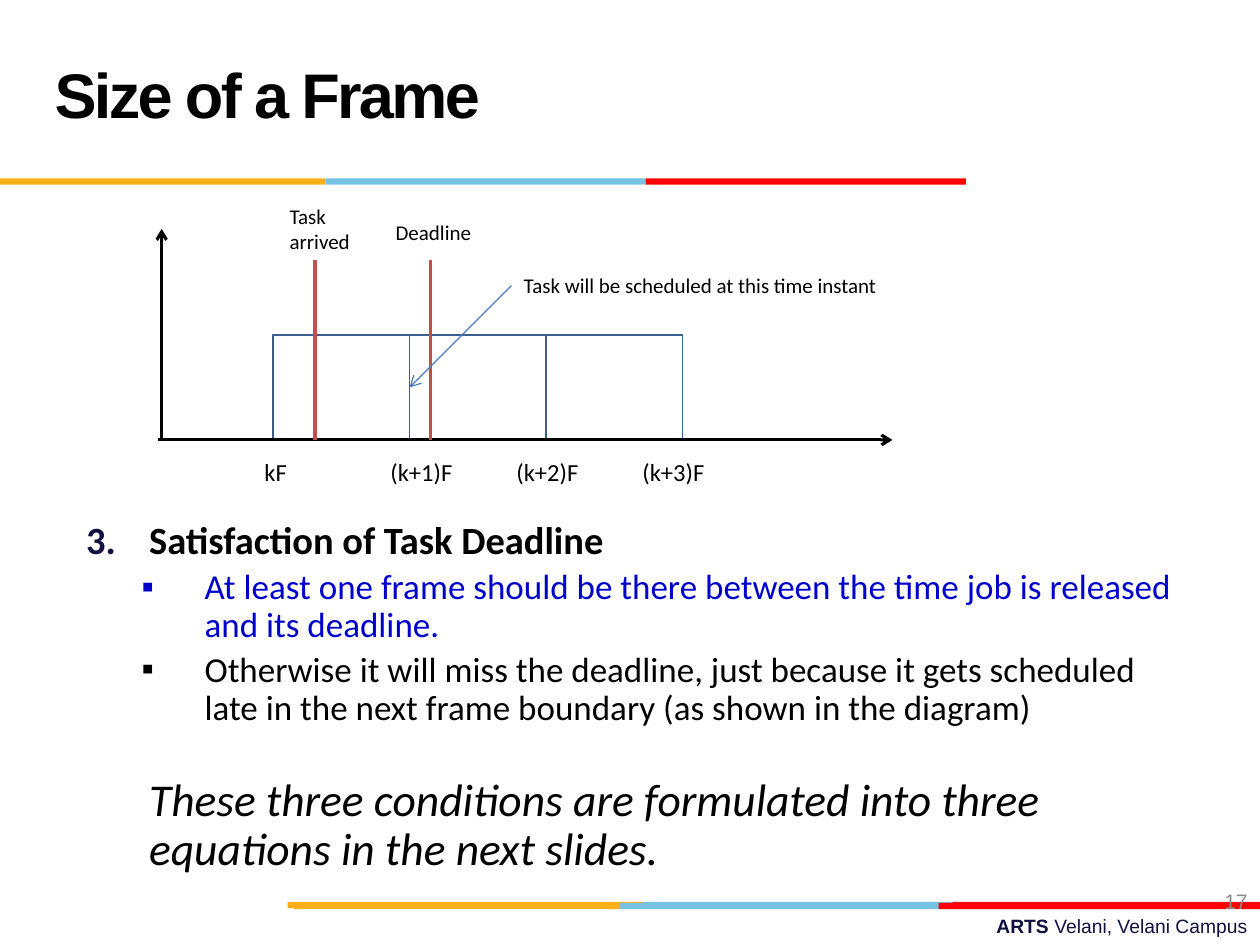
from dataclasses import dataclass
from lxml.etree import SubElement
from pptx import Presentation
from pptx.dml.color import RGBColor
from pptx.enum.shapes import MSO_CONNECTOR, MSO_SHAPE
from pptx.enum.text import MSO_ANCHOR, MSO_AUTO_SIZE, PP_ALIGN
from pptx.oxml.ns import qn
from pptx.util import Inches, Pt


@dataclass(frozen=True)
class Theme:
    sans: str = "Arial"
    text: str = "Calibri"
    black: str = "000000"
    navy: str = "101141"
    blue: str = "0000CC"
    gray: str = "8C8C8C"
    gold: str = "FCB017"
    sky: str = "76C2E5"
    red: str = "FF0000"
    dark: str = "E31C24"
    edge: str = "3A5F8C"
    mark: str = "C0504D"
    hint: str = "4B7EBC"
    title: int = 36
    close: int = 26
    head: int = 22
    item: int = 20
    tick: int = 14
    note: int = 12
    foot: int = 11


def cell(n):
    """Grid units: 12 columns or rows to the inch."""
    return Inches(n / 12)


def tint(code):
    return RGBColor.from_string(code)


def write(para, text, size, font, color, bold=False, italic=False,
          align=PP_ALIGN.LEFT, space=None):
    run = para.add_run()
    run.text = text
    face = run.font
    face.size, face.name = Pt(size), font
    face.bold, face.italic = bold, italic
    face.color.rgb = tint(color)
    para.alignment = align
    if space is not None:
        run._r.get_or_add_rPr().set("spc", str(int(space * 100)))


class Page:
    def __init__(self, deck, theme):
        self.theme = theme
        self.slide = deck.slides.add_slide(deck.slide_layouts[1])
        self.shapes = self.slide.shapes

    def place(self, shape, x, y, w, h):
        shape.left, shape.top = cell(x), cell(y)
        shape.width, shape.height = cell(w), cell(h)

    def title(self, text, *box):
        t, shape = self.theme, self.shapes.title
        self.place(shape, *box)
        frame = shape.text_frame
        frame.vertical_anchor = MSO_ANCHOR.MIDDLE
        frame.auto_size = MSO_AUTO_SIZE.NONE
        para = frame.paragraphs[0]
        para.line_spacing = Pt(t.title)
        write(para, text, t.title, t.sans, t.black, bold=True, space=-1.5)

    def body(self, items, *box):
        shape = self.slide.placeholders[1]
        self.place(shape, *box)
        frame = shape.text_frame
        frame.auto_size = MSO_AUTO_SIZE.NONE
        frame.vertical_anchor = MSO_ANCHOR.TOP
        for i, (kind, text, look, gap) in enumerate(items):
            para = frame.add_paragraph() if i else frame.paragraphs[0]
            para.line_spacing, para.space_before = 0.9, Pt(gap)
            write(para, text, font=self.theme.text, **look)
            self.bullet(para, kind)

    def bullet(self, para, kind):
        para.level = int(kind == "dot")
        prop = para._p.get_or_add_pPr()
        prop.set("marL", str(Inches(0.94 if kind == "dot" else 0.5)))
        prop.set("indent", str(0 if kind == "none" else Inches(-0.5)))
        if kind == "none":
            SubElement(prop, qn("a:buNone"))
        elif kind == "dot":
            SubElement(prop, qn("a:buFont"), typeface=self.theme.sans)
            SubElement(prop, qn("a:buChar"), char="▪")
        else:
            hue = SubElement(prop, qn("a:buClr"))
            SubElement(hue, qn("a:srgbClr"), val=self.theme.navy)
            SubElement(prop, qn("a:buFont"), typeface="+mj-lt")
            SubElement(prop, qn("a:buAutoNum"), type="arabicPeriod", startAt="3")

    def label(self, parts, x, y, w, h, align=PP_ALIGN.LEFT, wrap=False,
              anchor=MSO_ANCHOR.TOP, **look):
        """Each entry of parts is a line: a list of (text, bold) runs."""
        shape = self.shapes.add_textbox(cell(x), cell(y), cell(w), cell(h))
        frame = shape.text_frame
        frame.word_wrap, frame.vertical_anchor = wrap, anchor
        for i, line in enumerate(parts):
            para = frame.add_paragraph() if i else frame.paragraphs[0]
            for text, bold in line:
                write(para, text, bold=bold, align=align, **look)
        return shape

    def rect(self, x, y, w, h, fill=None, line=None):
        shape = self.shapes.add_shape(
            MSO_SHAPE.RECTANGLE, cell(x), cell(y), cell(w), cell(h))
        shape.shadow.inherit = False
        if fill:
            shape.fill.solid()
            shape.fill.fore_color.rgb = tint(fill)
        else:
            shape.fill.background()
        if line:
            shape.line.color.rgb, shape.line.width = tint(line), Pt(1)
        else:
            shape.line.fill.background()
        return shape

    def band(self, y, parts):
        for x, end, fill in parts:
            self.rect(x, y, end - x, 0.6, fill=fill)

    def line(self, x, y, to, down, color, width=1.75, arrow=False):
        link = self.shapes.add_connector(
            MSO_CONNECTOR.STRAIGHT, cell(x), cell(y), cell(to), cell(down))
        link.line.color.rgb, link.line.width = tint(color), Pt(width)
        if arrow:
            SubElement(link.line._get_or_add_ln(), qn("a:tailEnd"), type="arrow")
        SubElement(link._element.spPr, qn("a:effectLst"))
        return link


def main():
    deck = Presentation()
    deck.slide_width, deck.slide_height = Inches(10), Inches(7.5)
    t = Theme()
    page = Page(deck, t)

    # Title and list
    page.title("Size of a Frame", 4, 2, 83, 15)
    item = dict(size=t.item, color=t.black)
    page.body([
        ("number", "Satisfaction of Task Deadline",
         dict(size=t.head, color=t.black, bold=True), 4.4),
        ("dot", "At least one frame should be there between the time job is "
         "released and its deadline.", dict(item, color=t.blue), 4),
        ("dot", "Otherwise it will miss the deadline, just because it gets "
         "scheduled late in the next frame boundary (as shown in the diagram)",
         item, 4),
        ("none", "These three conditions are formulated into three equations "
         "in the next slides.",
         dict(size=t.close, color=t.black, italic=True), 28.5),
    ], 7, 49, 108, 38)

    # Colour bands and footer
    page.band(17, [(31, 61.5, t.sky), (0, 31, t.gold), (61.5, 92, t.red)])
    page.band(85.9, [(60.7, 91.3, t.sky), (90.7, 120, t.dark), (27.4, 61.2, t.gold)])
    page.band(86, [(59, 89.6, t.sky), (28, 59, t.gold), (89.4, 120, t.red)])
    page.label([[("ARTS ", True), ("Velani, Velani Campus", False)]],
               43, 86.5, 77, 3.5, align=PP_ALIGN.RIGHT, wrap=True,
               size=t.foot, font=t.sans, color=t.navy)
    page.label([[("17", False)]], 92, 83.4, 28, 4.8, align=PP_ALIGN.RIGHT,
               wrap=True, anchor=MSO_ANCHOR.MIDDLE,
               size=t.note, font=t.sans, color=t.gray)

    # Frames on the time axis
    base, wide, tall = 41.9, 13, 10
    frames = [page.rect(26 + i * wide, base - tall, wide, tall, line=t.edge)
              for i in range(3)]
    page.line(15, base, 85, base, t.black, arrow=True)
    for x in (30, 41):
        page.line(x, base, x, 24.8, t.mark)
    page.line(15.4, base, 15.4, 21.8, t.black, arrow=True)

    # Labels
    tick = dict(size=t.tick, font=t.text, color=t.black)
    for i, name in enumerate(("kF", "(k+1)F", "(k+2)F", "(k+3)F")):
        page.label([[(name, False)]], 24 + 12 * i, 42.9, 9.2 if i else 5, 4, **tick)
    note = dict(tick, size=t.note)
    page.label([[("Task", False)], [("arrived", False)]], 26.4, 18.8, 8.5, 6, **note)
    page.label([[("Deadline", False)]], 36.5, 20.3, 10.3, 3.6, **note)
    hint = page.label([[("Task will be scheduled at this time instant", False)]],
                      48.7, 25.4, 39.2, 3.6, **note)
    link = page.line(48.7, 27.2, 39, 36.9, t.hint, width=0.75, arrow=True)
    link.begin_connect(hint, 1)
    link.end_connect(frames[1], 1)

    deck.save("out.pptx")


if __name__ == "__main__":
    main()
